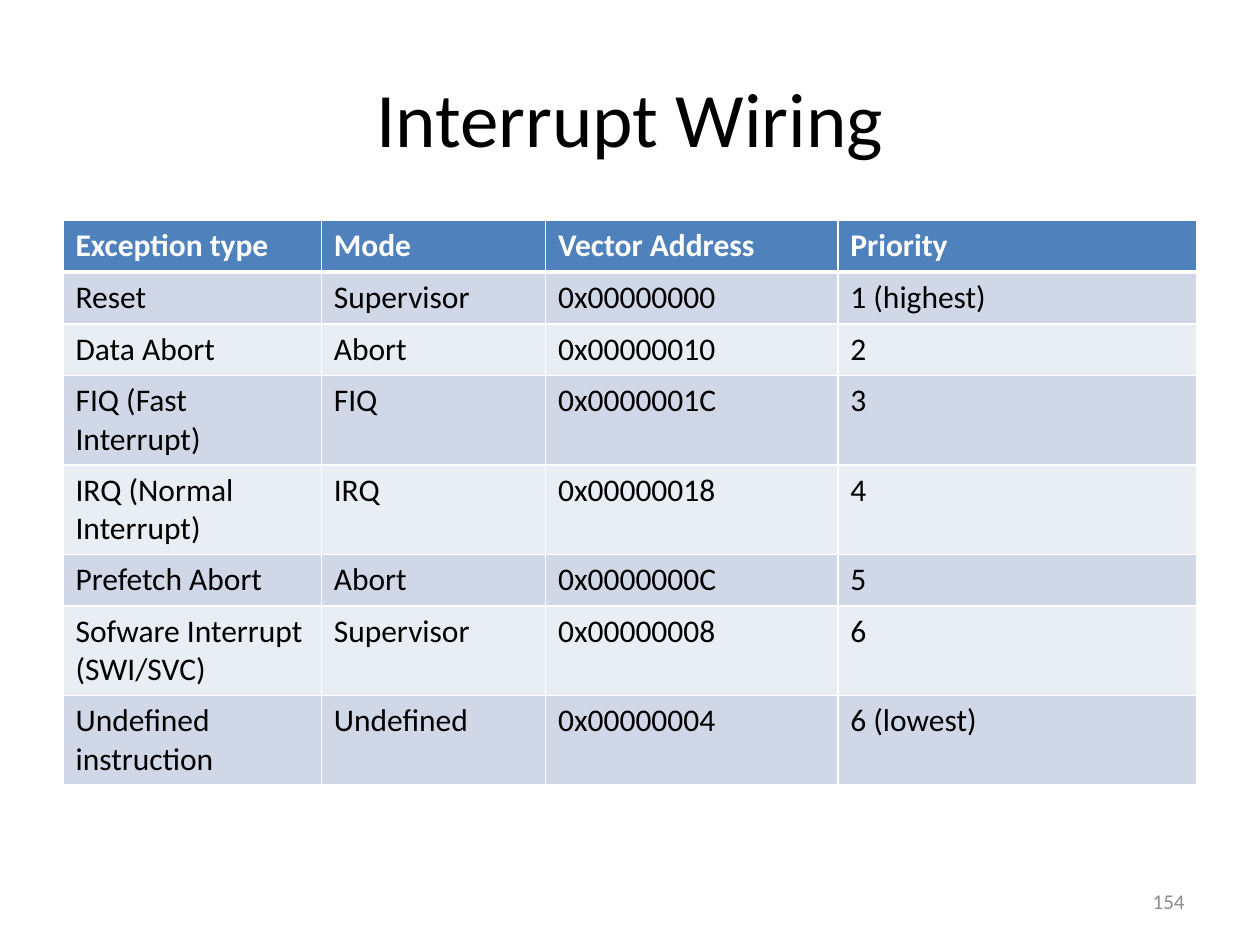
from lxml import etree
from pptx import Presentation
from pptx.dml.color import RGBColor
from pptx.enum import text
from pptx.oxml import ns
from pptx.util import Inches, Pt

FONT = "Calibri"
COLORS = {
    "title": "000000",
    "body": "000000",
    "header_text": "FFFFFF",
    "header": "4F81BD",
    "band_dark": "D0D8E8",
    "band_light": "E9EDF4",
    "border": "FFFFFF",
    "number": "8C8C8C",
}
COL_WIDTHS = [2.05, 1.78, 2.32, 2.85]
ROW_HEIGHT = 0.41
ROWS = [
    ("Exception type", "Mode", "Vector Address", "Priority"),
    ("Reset", "Supervisor", "0x00000000", "1 (highest)"),
    ("Data Abort", "Abort", "0x00000010", "2"),
    ("FIQ (Fast Interrupt)", "FIQ", "0x0000001C", "3"),
    ("IRQ (Normal Interrupt)", "IRQ", "0x00000018", "4"),
    ("Prefetch Abort", "Abort", "0x0000000C", "5"),
    ("Sofware Interrupt (SWI/SVC)", "Supervisor", "0x00000008", "6"),
    ("Undefined instruction", "Undefined", "0x00000004", "6 (lowest)"),
]


def rgb(name):
    return RGBColor.from_string(COLORS[name])


def write(tf, content, size, color, bold=False, align=text.PP_ALIGN.LEFT):
    tf.text = content
    p = tf.paragraphs[0]
    p.alignment = align
    font = p.runs[0].font
    font.name, font.size, font.bold = FONT, Pt(size), bold
    font.color.rgb = rgb(color)


def set_borders(cell, top=1, bottom=1):
    tc_pr = cell._tc.get_or_add_tcPr()
    for side, width in (("L", 1), ("R", 1), ("T", top), ("B", bottom)):
        ln = etree.SubElement(tc_pr, ns.qn("a:ln" + side), w=str(Pt(width)))
        fill = etree.SubElement(ln, ns.qn("a:solidFill"))
        etree.SubElement(fill, ns.qn("a:srgbClr"), val=COLORS["border"])


def add_title(slide, content):
    title = slide.shapes.title
    title.left, title.top = Inches(0.5), Inches(0.3)
    title.width, title.height = Inches(9), Inches(1.25)
    title.text_frame.vertical_anchor = text.MSO_ANCHOR.MIDDLE
    write(title.text_frame, content, 44, "title", align=text.PP_ALIGN.CENTER)


def add_exception_table(slide):
    frame = slide.shapes.add_table(
        len(ROWS), len(COL_WIDTHS), Inches(0.5), Inches(1.75),
        Inches(sum(COL_WIDTHS)), Inches(ROW_HEIGHT * len(ROWS)))
    table = frame.table
    for column, width in zip(table.columns, COL_WIDTHS):
        column.width = Inches(width)
    for i, values in enumerate(ROWS):
        table.rows[i].height = Inches(ROW_HEIGHT)
        header = i == 0
        band = "header" if header else "band_dark" if i % 2 else "band_light"
        for j, value in enumerate(values):
            cell = table.cell(i, j)
            write(cell.text_frame, value, 18,
                  "header_text" if header else "body", bold=header)
            # A thick rule separates the header from the first row
            set_borders(cell, top=3 if i == 1 else 1, bottom=3 if header else 1)
            cell.fill.solid()
            cell.fill.fore_color.rgb = rgb(band)


def add_slide_number(slide, number):
    box = slide.shapes.add_textbox(
        Inches(7.17), Inches(6.95), Inches(2.33), Inches(0.4))
    tf = box.text_frame
    tf.word_wrap = True
    tf.vertical_anchor = text.MSO_ANCHOR.MIDDLE
    write(tf, number, 12, "number", align=text.PP_ALIGN.RIGHT)


def main():
    prs = Presentation()
    prs.slide_width, prs.slide_height = Inches(10), Inches(7.5)
    slide = prs.slides.add_slide(prs.slide_layouts[5])  # title only
    add_title(slide, "Interrupt Wiring")
    add_exception_table(slide)
    add_slide_number(slide, "154")
    prs.save("out.pptx")


if __name__ == "__main__":
    main()
